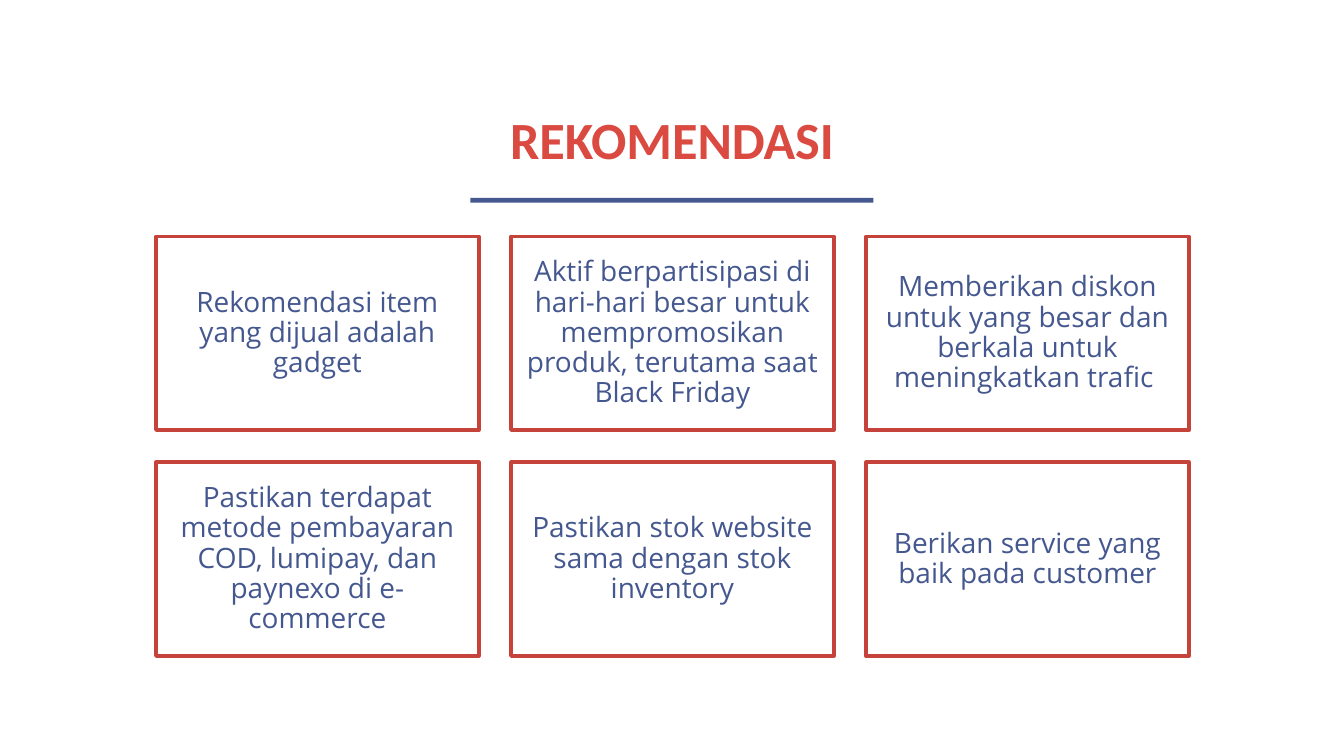
from pptx import Presentation
from pptx import util as u
from pptx.dml.color import RGBColor
from pptx.enum import shapes, text

RED = RGBColor(0xDA, 0x4A, 0x41)
DARK_RED = RGBColor(0xC6, 0x43, 0x3B)
BLUE = RGBColor(0x44, 0x57, 0x8F)
WHITE = RGBColor(0xFF, 0xFF, 0xFF)

RECOMMENDATIONS = [
    "Rekomendasi item yang dijual adalah gadget",
    "Aktif berpartisipasi di hari-hari besar untuk mempromosikan produk, terutama saat Black Friday",
    "Memberikan diskon untuk yang besar dan berkala untuk meningkatkan trafic ",
    "Pastikan terdapat metode pembayaran COD, lumipay, dan paynexo di e-commerce",
    "Pastikan stok website sama dengan stok inventory",
    "Berikan service yang baik pada customer",
]
COLUMNS = 3
CARD_WIDTH, CARD_HEIGHT, GAP = 6.1, 3.66, 0.61
GRID_LEFT, GRID_TOP = 2.95, 4.47


def add_rectangle(page, left, top, width, height, fill):
    box = page.shapes.add_shape(
        shapes.MSO_SHAPE.RECTANGLE, u.Cm(left), u.Cm(top), u.Cm(width), u.Cm(height))
    box.shadow.inherit = False
    box.fill.solid()
    box.fill.fore_color.rgb = fill
    box.line.fill.background()
    return box


def set_text(box, words, font_name, size, color, anchor, margin):
    """Fill the box with one centred paragraph and return that paragraph."""
    frame = box.text_frame
    frame.word_wrap = True
    frame.vertical_anchor = anchor
    frame.margin_left = frame.margin_right = u.Cm(margin)
    frame.margin_top = frame.margin_bottom = u.Cm(margin)
    para = frame.paragraphs[0]
    para.text = words
    para.alignment = text.PP_ALIGN.CENTER
    para.font.name = font_name
    para.font.size = u.Pt(size)
    para.font.color.rgb = color
    return para


deck = Presentation()
deck.slide_width, deck.slide_height = u.Cm(25.4), u.Cm(14.29)
page = deck.slides.add_slide(deck.slide_layouts[6])

title = page.shapes.add_textbox(u.Cm(6.55), u.Cm(2.01), u.Cm(12.3), u.Cm(1.45))
heading = set_text(title, "REKOMENDASI", "Calibri", 28, RED, text.MSO_ANCHOR.BOTTOM, 0.25)
heading.font.bold = True

add_rectangle(page, 8.89, 3.74, 7.62, 0.09, BLUE)

for index, words in enumerate(RECOMMENDATIONS):
    row, column = divmod(index, COLUMNS)
    card = add_rectangle(
        page,
        GRID_LEFT + column * (CARD_WIDTH + GAP),
        GRID_TOP + row * (CARD_HEIGHT + GAP),
        CARD_WIDTH, CARD_HEIGHT, WHITE)
    card.line.color.rgb = DARK_RED
    card.line.width = u.Pt(2)
    para = set_text(card, words, "Open Sans", 15, BLUE, text.MSO_ANCHOR.MIDDLE, 0.15)
    para.line_spacing = 0.9

deck.save("out.pptx")
